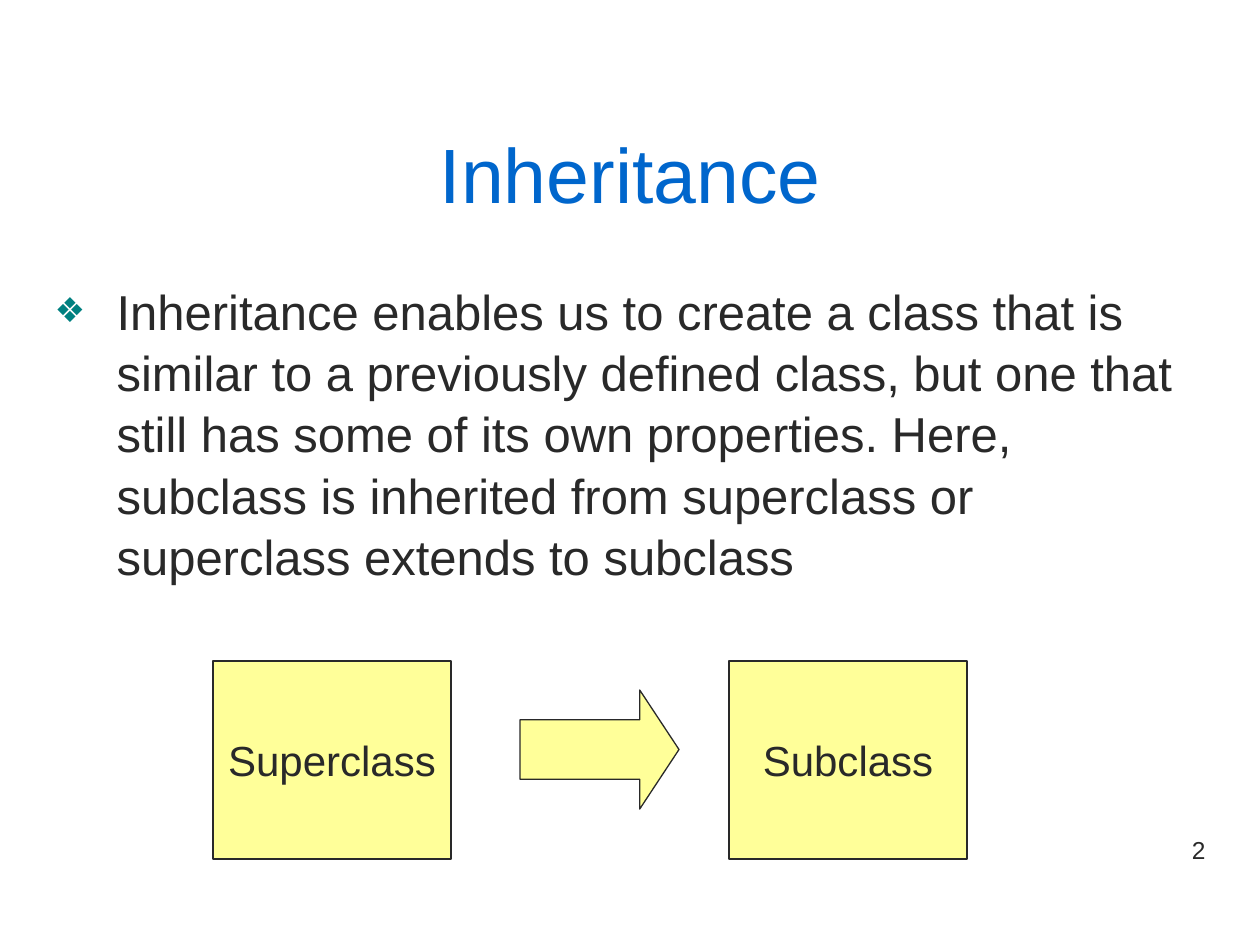
"""Build the slide that introduces inheritance between two classes."""
from dataclasses import dataclass

from lxml import etree
from pptx import Presentation
from pptx import util as u
from pptx.dml.color import RGBColor
from pptx.enum import shapes, text
from pptx.oxml import ns


@dataclass(frozen=True)
class Theme:
    font: str = "Arial"
    title: str = "0066CC"
    ink: str = "292929"
    bullet: str = "008080"
    fill: str = "FFFF99"
    title_size: int = 44
    body_size: int = 28
    label_size: int = 24
    number_size: int = 14
    line_width: float = 0.75


theme = Theme()
SCALE = 914400 / 126


def place(shape, *box):
    shape.left, shape.top, shape.width, shape.height = (
        u.Emu(round(length * SCALE)) for length in box
    )


def write(shape, words, size, color, align, anchor, wrap=True):
    frame = shape.text_frame
    frame.auto_size = text.MSO_AUTO_SIZE.NONE
    frame.word_wrap = wrap
    frame.vertical_anchor = anchor
    paragraph = frame.paragraphs[0]
    paragraph.alignment = align
    paragraph.space_before = u.Pt(0)
    run = paragraph.add_run()
    run.text = words
    run.font.name = theme.font
    run.font.size = u.Pt(size)
    run.font.color.rgb = RGBColor.from_string(color)
    return paragraph


LEFT, CENTER, RIGHT = text.PP_ALIGN.LEFT, text.PP_ALIGN.CENTER, text.PP_ALIGN.RIGHT
TOP, MIDDLE = text.MSO_ANCHOR.TOP, text.MSO_ANCHOR.MIDDLE

presentation = Presentation()
presentation.slide_width = u.Inches(10)
presentation.slide_height = u.Inches(7.5)
slide = presentation.slides.add_slide(presentation.slide_layouts[1])

title = slide.shapes.title
place(title, 42, 94, 1177, 158)
write(title, "Inheritance", theme.title_size, theme.title, CENTER, MIDDLE)

body = slide.placeholders[1]
place(body, 42, 273, 1177, 535)
definition = (
    "Inheritance enables us to create a class that is similar to a previously "
    "defined class, but one that still has some of its own properties. Here, "
    "subclass is inherited from superclass or superclass extends to subclass"
)
paragraph = write(body, definition, theme.body_size, theme.ink, LEFT, TOP)
properties = paragraph._p.get_or_add_pPr()
indent = round(62 * SCALE)
properties.set("marL", str(indent))
properties.set("indent", str(-indent))
bullet_color = etree.SubElement(properties, ns.qn("a:buClr"))
etree.SubElement(bullet_color, ns.qn("a:srgbClr"), val=theme.bullet)
etree.SubElement(properties, ns.qn("a:buSzPct"), val="70000")
etree.SubElement(properties, ns.qn("a:buFont"), typeface=theme.font)
etree.SubElement(properties, ns.qn("a:buChar"), char="❖")
paragraph.line_spacing = 1.04

RECTANGLE = shapes.MSO_SHAPE.RECTANGLE
ARROW = shapes.MSO_SHAPE.RIGHT_ARROW
diagram = [
    (RECTANGLE, (213, 661, 238, 198), "Superclass"),
    (RECTANGLE, (729, 661, 238, 198), "Subclass"),
    (ARROW, (520, 690, 159, 119), None),
]
for kind, box, label in diagram:
    shape = slide.shapes.add_shape(kind, 0, 0, 0, 0)
    place(shape, *box)
    shape.shadow.inherit = False
    shape.fill.solid()
    shape.fill.fore_color.rgb = RGBColor.from_string(theme.fill)
    shape.line.color.rgb = RGBColor.from_string(theme.ink)
    shape.line.width = u.Pt(theme.line_width)
    if label:
        write(shape, label, theme.label_size, theme.ink, CENTER, MIDDLE, wrap=False)
    else:
        shape.adjustments[0] = 0.5
        shape.adjustments[1] = 0.33

number = slide.shapes.add_textbox(0, 0, 0, 0)
place(number, 903, 829, 315, 66)
write(number, "2", theme.number_size, theme.ink, RIGHT, TOP)

presentation.save("out.pptx")
